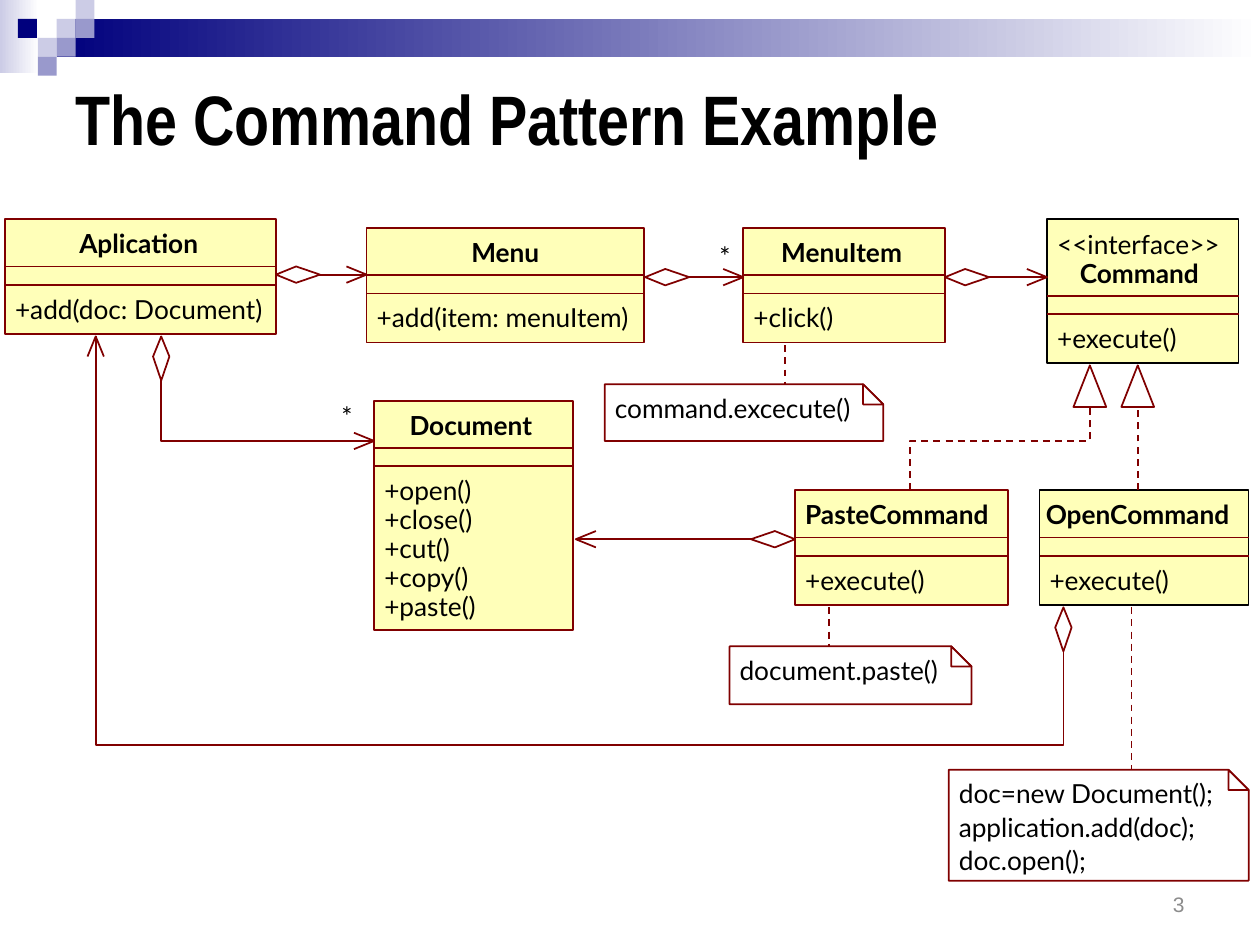
from lxml import etree
from pptx import Presentation
from pptx import util as u
from pptx.dml.color import RGBColor
from pptx.enum import dml, shapes, text
from pptx.oxml.ns import qn

COLORS = {
    "navy": "00007D", "lilac": "CCCCE6", "violet": "9999CC", "white": "FFFFFF",
    "black": "000000", "gray": "8C8C8C", "maroon": "800000", "cream": "FFFFB9",
}
COLS, ROWS = 100, 75

# Outlines at a line's end: (distance back from the tip, offset sideways)
DIAMOND = [(0, 0), (1.6, 0.65), (3.5, 0), (1.6, -0.65)]
TRIANGLE = [(0, 0), (3.3, 1.3), (3.3, -1.3)]
ARROW = [(1.6, 0.65), (0, 0), (1.6, -0.65)]
LEFT, RIGHT, UP, DOWN = (-1, 0), (1, 0), (0, -1), (0, 1)


def rgb(name):
    return RGBColor.from_string(COLORS[name])


def write(tf, string, size=15, font="Lato", color="black", bold=False,
          align=text.PP_ALIGN.LEFT):
    p = tf.paragraphs[0]
    p.alignment = align
    r = p.add_run()
    r.text = string
    r.font.size, r.font.name, r.font.bold = u.Pt(size), font, bold
    r.font.color.rgb = rgb(color)


class Diagram:
    """Draws on one slide, with lengths in cells of a COLS x ROWS grid."""

    def __init__(self, prs):
        self.s = prs.slides.add_slide(prs.slide_layouts[6])
        self.col = prs.slide_width / COLS
        self.row = prs.slide_height / ROWS

    def emu(self, x, y):
        return round(x * self.col), round(y * self.row)

    def paint(self, sp, fill=None, line=None, dashed=False):
        sp.shadow.inherit = False
        if fill:
            sp.fill.solid()
            sp.fill.fore_color.rgb = rgb(fill)
        else:
            sp.fill.background()
        self.stroke(sp, line, dashed)

    def stroke(self, sp, color, dashed=False):
        if not color:
            sp.line.fill.background()
            return
        sp.line.color.rgb = rgb(color)
        sp.line.width = u.Pt(1)
        if dashed:
            sp.line.dash_style = dml.MSO_LINE.DASH

    def rect(self, x, y, w, h, fill, line=None):
        sp = self.s.shapes.add_shape(
            shapes.MSO_SHAPE.RECTANGLE, *self.emu(x, y), *self.emu(w, h))
        self.paint(sp, fill, line)
        return sp

    def fade(self, x, y, w, h, color):
        """Rectangle that fades to white toward the right."""
        fill = self.rect(x, y, w, h, color).fill
        fill.gradient()
        fill.gradient_angle = 0
        for stop, name in zip(fill.gradient_stops, (color, "white")):
            stop.color.rgb = rgb(name)

    def label(self, string, x, y, w, h=2.5, inset=0, middle=False, **style):
        sp = self.s.shapes.add_textbox(*self.emu(x, y), *self.emu(w, h))
        tf = sp.text_frame
        tf.word_wrap = True
        tf.margin_left = tf.margin_right = u.Inches(inset)
        tf.margin_top = tf.margin_bottom = u.Inches(inset / 2)
        tf.vertical_anchor = text.MSO_ANCHOR.MIDDLE if middle else text.MSO_ANCHOR.TOP
        write(tf, string, **style)

    def lines(self, entries, x, y, pitch):
        for i, (string, w) in enumerate(entries):
            self.label(string, x, y + i * pitch, w)

    def line(self, x1, y1, x2, y2, dashed=False):
        c = self.s.shapes.add_connector(
            shapes.MSO_CONNECTOR.STRAIGHT, *self.emu(x1, y1), *self.emu(x2, y2))
        self.stroke(c, "maroon", dashed)
        etree.SubElement(c._element.spPr, qn("a:effectLst"))

    def outline(self, points, closed=True, dashed=False):
        start, *rest = [self.emu(*point) for point in points]
        builder = self.s.shapes.build_freeform(*start)
        builder.add_line_segments(rest, close=closed)
        self.paint(builder.convert_to_shape(), "white" if closed else None,
                   "maroon", dashed)

    def end(self, kind, x, y, back):
        """Line end with its tip at x, y and its body in the direction back."""
        bx, by = back
        self.outline([(x + a * bx - b * by, y + a * by + b * bx) for a, b in kind],
                     closed=kind is not ARROW)

    def aggregation(self, x1, x2, y):
        """Level line with a diamond at x1 and an arrow at x2."""
        ahead, behind = (RIGHT, LEFT) if x2 > x1 else (LEFT, RIGHT)
        self.line(x2, y, x1, y)
        self.end(DIAMOND, x1, y, ahead)
        self.end(ARROW, x2, y, behind)

    def uml_class(self, name, x, y, w, h, name_x, name_w, members,
                  head=3.75, line="maroon"):
        self.rect(x, y, w, h, "cream", line)
        divider = y + head
        self.label(name, name_x, divider - 3.1, name_w, bold=True)
        for level in (divider, divider + 1.45):
            self.line(x, level, x + w, level)
        self.lines(members, x + 0.8, divider + 2.1, pitch=2.3)

    def note(self, x, y, w, h, entries, fold=1.6):
        right, bottom, crease = x + w, y + h, x + w - fold
        self.outline([(x, y), (crease, y), (right, y + fold),
                      (right, bottom), (x, bottom)])
        self.outline([(crease, y), (crease, y + fold), (right, y + fold)])
        self.lines(entries, x + 0.8, y + 0.6, pitch=2.65)


def draw_banner(d):
    d.fade(0, 0, 3.1, 5.8, "lilac")
    d.fade(4.5, 1.5, 95.5, 3, "navy")
    tile = 1.5
    for column, row, color in [
            (3, 1, "lilac"), (4, 0, "lilac"), (4, 1, "violet"), (2, 2, "lilac"),
            (0.95, 1, "navy"), (3, 2, "violet"), (2, 3, "violet")]:
        d.rect(column * tile, row * tile, tile, tile, color)


def draw_classes(d):
    execute = [("+execute()", 10.3)]
    d.uml_class("Aplication", 0.4, 17.4, 21.5, 9.1, 6.3, 10.6,
                [("+add(doc: Document)", 20.7)])
    d.uml_class("Menu", 29.1, 18.1, 22, 9.1, 37.4, 5.8,
                [("+add(item: menuItem)", 21.6)])
    d.uml_class("MenuItem", 59, 18.1, 16, 9.1, 62, 11, [("+click()", 7.1)])
    d.uml_class("Command", 83.1, 17.4, 15.2, 11.4, 85.7, 10.6, execute,
                head=6.1, line="black")
    d.label("<<interface>>", 83.9, 18.1, 13.7)
    d.uml_class("Document", 29.7, 31.8, 15.8, 18.2, 32.5, 10.8,
                [("+open()", 7.7), ("+close()", 7.8), ("+cut()", 6),
                 ("+copy()", 7.4), ("+paste()", 8.2)])
    d.uml_class("OpenCommand", 82.5, 38.9, 16.6, 9.1, 83, 16.7, execute, line="black")
    d.uml_class("PasteCommand", 63.1, 38.9, 16.9, 9.1, 63.9, 16.5, execute)


def draw_relations(d):
    for x1, x2, y in [(21.9, 29.1, 21.8), (51.2, 59, 22), (75, 83.1, 22),
                      (63.1, 45.7, 42.8)]:
        d.aggregation(x1, x2, y)
    for x, y in [(57.1, 19.1), (27.1, 31.8)]:
        d.label("*", x, y, 1.2)

    d.outline([(29.7, 35), (12.8, 35), (12.8, 26.7)], closed=False)
    d.end(DIAMOND, 12.8, 26.7, DOWN)
    d.end(ARROW, 29.7, 35, LEFT)

    d.outline([(7.6, 26.7), (7.6, 59.1), (84.4, 59.1), (84.4, 48.2)], closed=False)
    d.end(DIAMOND, 84.4, 48.2, DOWN)
    d.end(ARROW, 7.6, 26.7, DOWN)

    d.line(90.3, 38.9, 90.3, 29, dashed=True)
    d.outline([(72.2, 38.9), (72.2, 35), (86.5, 35), (86.5, 29)],
              closed=False, dashed=True)
    for x in (90.3, 86.5):
        d.end(TRIANGLE, x, 29, DOWN)


def draw_notes(d):
    d.note(48, 30.5, 22.1, 4.5, [("command.excecute()", 19.5)])
    d.note(57.9, 51.3, 19.2, 4.6, [("document.paste()", 16.4)])
    d.note(75.3, 61.1, 23.8, 8.8, [("doc=new Document();", 21.1),
                                   ("application.add(doc);", 19.6),
                                   ("doc.open();", 10.8)])
    for x, top, bottom in [(62.3, 27.4, 30.5), (65.8, 48.2, 51.3), (89.8, 48.2, 61.1)]:
        d.line(x, top, x, bottom, dashed=True)


def main():
    prs = Presentation()
    prs.slide_width, prs.slide_height = u.Inches(10), u.Inches(7.5)
    d = Diagram(prs)
    draw_banner(d)
    d.label("The Command Pattern Example", 5, 4.5, 90, 9.7, inset=0.1, middle=True,
            size=40, font="Arial Narrow", bold=True)
    d.label("3", 71.7, 70, 23.3, 3.5, inset=0.1, middle=True, size=12, font="Arial",
            color="gray", align=text.PP_ALIGN.RIGHT)
    draw_classes(d)
    draw_relations(d)
    draw_notes(d)
    prs.save("out.pptx")


if __name__ == "__main__":
    main()
